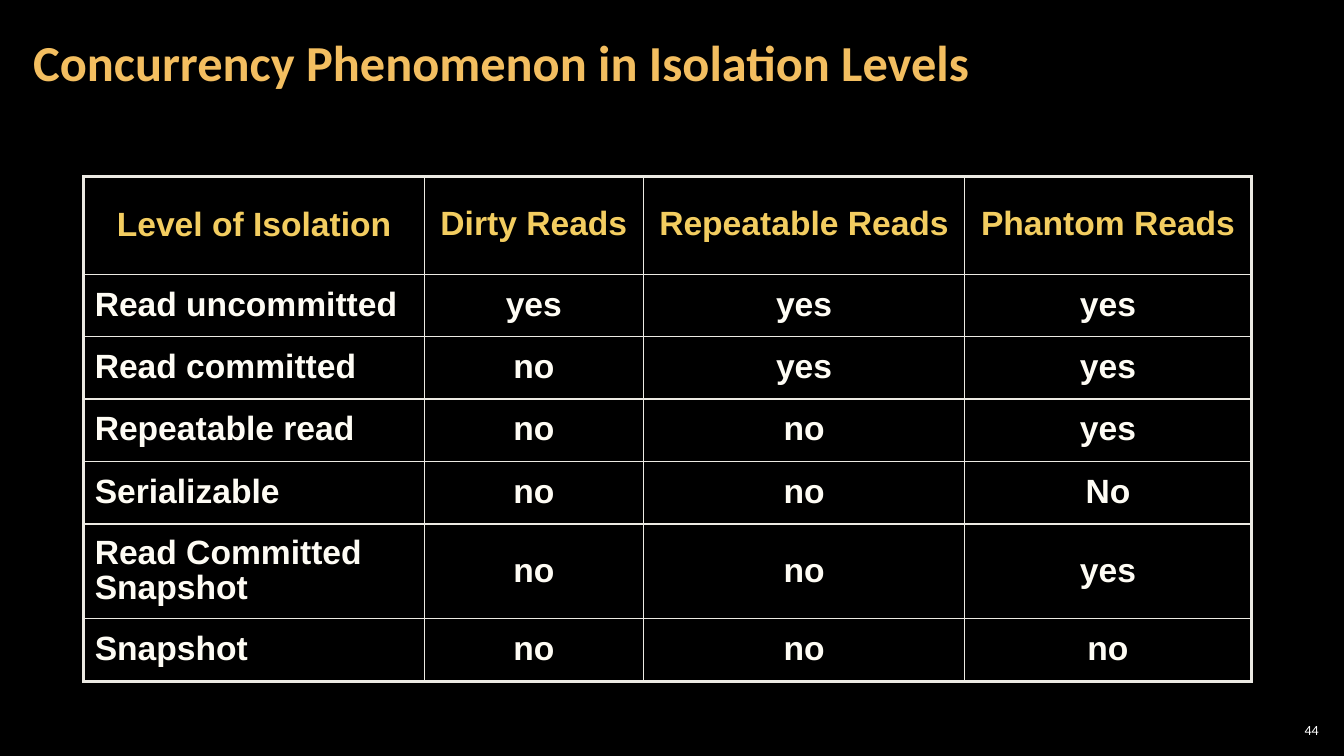
"""Build a slide with a table of concurrency phenomena by isolation level."""
import pptx
import pptx.util
import pptx.dml.color
import pptx.enum.text
import pptx.oxml.ns
import lxml.etree

INK, RULE, GOLD, CREAM = "000000", "ECEAE3", "F3CD60", "FEFCF4"
ALIGN = pptx.enum.text.PP_ALIGN
MIDDLE = pptx.enum.text.MSO_ANCHOR.MIDDLE
inch = pptx.util.Inches
qn = pptx.oxml.ns.qn


def rgb(value):
    return pptx.dml.color.RGBColor.from_string(value)


def write(tf, text, color, align, spacing, font):
    p = tf.paragraphs[0]
    p.alignment, p.line_spacing = align, spacing
    r = p.add_run()
    r.text = text
    r.font.color.rgb = rgb(color)
    for name, value in font.items():
        setattr(r.font, name, value)


prs = pptx.Presentation()
prs.slide_width, prs.slide_height = inch(13.33), inch(7.5)
s = prs.slides.add_slide(prs.slide_layouts[6])
s.background.fill.solid()
s.background.fill.fore_color.rgb = rgb(INK)

labels = [
    ((0.21, 0.04, 10.47, 1.21), 0.12, "Concurrency Phenomenon in Isolation Levels", "F3BE60",
     ALIGN.LEFT, 0.9, {"name": "Calibri", "size": pptx.util.Pt(36), "bold": True}),
    ((12.65, 7.14, 0.47, 0.21), 0.04, "44", "FFFFFF",
     ALIGN.RIGHT, 1.0, {"name": "Calibri", "size": pptx.util.Pt(10)}),
]
for box, side, *content in labels:
    tf = s.shapes.add_textbox(*map(inch, box)).text_frame
    frame = {"word_wrap": True, "vertical_anchor": MIDDLE,
             "margin_left": inch(side), "margin_right": inch(side),
             "margin_top": inch(0.04), "margin_bottom": inch(0.04)}
    for name, value in frame.items():
        setattr(tf, name, value)
    write(tf, *content)

rows = [
    ["Level of Isolation", "Dirty Reads", "Repeatable Reads", "Phantom Reads"],
    ["Read uncommitted", "yes", "yes", "yes"],
    ["Read committed", "no", "yes", "yes"],
    ["Repeatable read", "no", "no", "yes"],
    ["Serializable", "no", "no", "No"],
    ["Read Committed Snapshot", "no", "no", "yes"],
    ["Snapshot", "no", "no", "no"],
]
widths = [3.38, 2.17, 3.19, 2.84]
heights = [0.97, 0.62, 0.62, 0.62, 0.62, 0.94, 0.62]
table = s.shapes.add_table(len(rows), len(widths), inch(0.83), inch(1.75),
                           inch(sum(widths)), inch(sum(heights))).table
for column, width in zip(table.columns, widths):
    column.width = inch(width)
for row, height in zip(table.rows, heights):
    row.height = inch(height)

cell_format = {"vertical_anchor": MIDDLE, "margin_left": inch(0.11), "margin_right": inch(0.11),
               "margin_top": inch(0.05), "margin_bottom": inch(0.05)}
cell_font = {"name": "Arial", "size": pptx.util.Pt(24), "bold": True}
for i, row in enumerate(rows):
    for j, text in enumerate(row):
        cell = table.cell(i, j)
        for name, value in cell_format.items():
            setattr(cell, name, value)
        header, first = i == 0, j == 0
        write(cell.text_frame, text, GOLD if header else CREAM,
              ALIGN.CENTER if header or not first else ALIGN.LEFT,
              1.0 if header and first else 0.9 if header and j == 3 else 0.95, cell_font)
        cell.fill.solid()
        cell.fill.fore_color.rgb = rgb(INK)
        tcPr = cell._tc.get_or_add_tcPr()
        lxml.etree.SubElement(tcPr.find(".//" + qn("a:srgbClr")), qn("a:alpha"), val="50000")
        outer = {"lnL": first, "lnR": j == len(widths) - 1,
                 "lnT": header, "lnB": i == len(rows) - 1}
        for k, (side, thick) in enumerate(outer.items()):
            ln = lxml.etree.Element(qn("a:" + side), w=str(pptx.util.Pt(2.25 if thick else 1)))
            fill = lxml.etree.SubElement(ln, qn("a:solidFill"))
            lxml.etree.SubElement(fill, qn("a:srgbClr"), val=RULE)
            tcPr.insert(k, ln)

prs.save("out.pptx")
